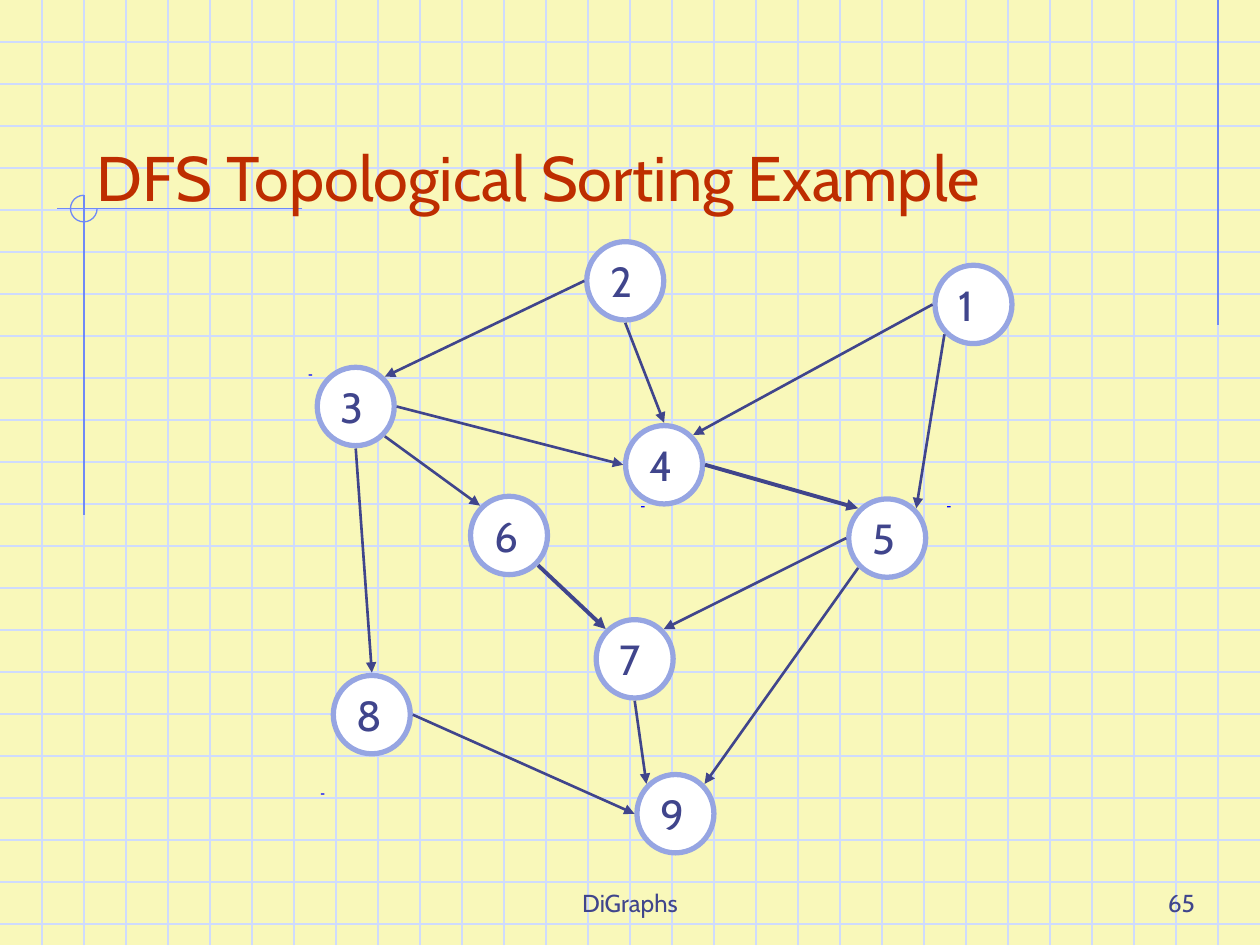
"""Build the slide of a DFS topological sorting example on graph paper."""
from lxml import etree
from pptx import Presentation
from pptx.dml.color import RGBColor
from pptx.enum.shapes import MSO_CONNECTOR, MSO_SHAPE
from pptx.enum.text import MSO_ANCHOR, MSO_AUTO_SIZE, PP_ALIGN
from pptx.oxml.ns import qn
from pptx.util import Pt

STRAIGHT = MSO_CONNECTOR.STRAIGHT
ARC, OVAL, RECTANGLE = MSO_SHAPE.ARC, MSO_SHAPE.OVAL, MSO_SHAPE.RECTANGLE
BOTTOM, MIDDLE = MSO_ANCHOR.BOTTOM, MSO_ANCHOR.MIDDLE
LEFT, CENTER, RIGHT = PP_ALIGN.LEFT, PP_ALIGN.CENTER, PP_ALIGN.RIGHT
NO_AUTOFIT = MSO_AUTO_SIZE.NONE

PAPER = RGBColor(0xF9, 0xF8, 0xBA)
GRID = RGBColor(0xCF, 0xDB, 0xFD)
MARGIN = RGBColor(0x6F, 0x89, 0xF7)
INK = RGBColor(0x40, 0x45, 0x8C)
TITLE_RED = RGBColor(0xBE, 0x2D, 0x00)
RING = RGBColor(0x96, 0xA5, 0xE2)
WHITE = RGBColor(0xFF, 0xFF, 0xFF)
BLUE = RGBColor(0x00, 0x00, 0xFF)
FONT = "Cabin"

WIDTH, HEIGHT, STEP = 720, 540, 24
TITLE = "DFS Topological Sorting Example"
TITLE_AREA = (48, 36, 612, 90)
FOOTERS = [
    ("DiGraphs", (246, 492, 228, 36), CENTER),
    ("65", (540, 492, 150, 36), RIGHT),
]
MARGIN_LINES = [
    ((696, 0), (696, 186)),
    ((172.8, 119.2), (32.4, 119.2)),
    ((48, 111.6), (48, 294.5)),
]
MARGIN_ARC = (40.3, 111.6, 15.2, 15.2)
DASHES = [(176.4, 214), (366.4, 289.2), (541.2, 289.2), (183.4, 453.4)]
DASH_SIZE = (2, 0.7)
NODE_SIZE = (44, 44.8)
NODES = {
    2: (357.3, 160.5), 7: (362.7, 376.5), 4: (379.5, 265.6),
    8: (212.5, 408.4), 5: (507, 307.5), 6: (290.9, 306),
    1: (556.3, 174), 3: (203.3, 232.3), 9: (386, 465),
}
REACH = (23.4, 24)
DIAGONAL = 0.71
SIDES = {
    "N": (0, -1), "S": (0, 1), "W": (-1, 0), "E": (1, 0),
    "NW": (-DIAGONAL, -DIAGONAL), "NE": (DIAGONAL, -DIAGONAL),
    "SW": (-DIAGONAL, DIAGONAL), "SE": (DIAGONAL, DIAGONAL),
}
THIN, THICK = 1.5, 2.25
EDGES = [
    (2, "W", 3, "NE", THIN), (2, "S", 4, "N", THIN),
    (1, "W", 4, "NE", THIN), (5, "W", 7, "NE", THIN),
    (5, "SW", 9, "NE", THIN), (8, "E", 9, "W", THIN),
    (7, "S", 9, "NW", THIN), (6, "SE", 7, "NW", THICK),
    (3, "SE", 6, "NW", THIN), (3, "S", 8, "N", THIN),
    (3, "E", 4, "W", THIN), (4, "E", 5, "NW", THICK),
    (1, "SW", 5, "NE", THIN),
]


def points(values):
    return [Pt(value) for value in values]


def write(shape, text, size, color=INK, align=LEFT, anchor=BOTTOM, wrap=True):
    frame = shape.text_frame
    frame.auto_size = NO_AUTOFIT
    frame.word_wrap = wrap
    frame.vertical_anchor = anchor
    para = frame.paragraphs[0]
    para.alignment = align
    span = para.add_run()
    span.text = text
    span.font.name = FONT
    span.font.size = Pt(size)
    span.font.color.rgb = color


def add_line(shapes, start, end, color, width=0.75, arrow=False):
    line = shapes.add_connector(STRAIGHT, *points(start + end))
    line.line.color.rgb = color
    line.line.width = Pt(width)
    if arrow:
        etree.SubElement(line.line._get_or_add_ln(), qn("a:tailEnd"), type="triangle")
    etree.SubElement(line.element.spPr, qn("a:effectLst"))


def add_shape(shapes, kind, area, fill=None, line=None, width=0.75):
    shape = shapes.add_shape(kind, *points(area))
    shape.shadow.inherit = False
    if fill is None:
        shape.fill.background()
    else:
        shape.fill.solid()
        shape.fill.fore_color.rgb = fill
    if line is None:
        shape.line.fill.background()
    else:
        shape.line.color.rgb = line
        shape.line.width = Pt(width)
    return shape


def add_graph_paper(page):
    shapes = page.shapes.add_group_shape().shapes
    for y in range(STEP, HEIGHT, STEP):
        add_line(shapes, (0, y), (WIDTH, y), GRID)
    for x in range(STEP, WIDTH, STEP):
        add_line(shapes, (x, 0), (x, HEIGHT), GRID)
    for start, end in MARGIN_LINES:
        add_line(shapes, start, end, MARGIN)
    arc = add_shape(shapes, ARC, MARGIN_ARC, line=MARGIN)
    arc.adjustments[0] = 0
    arc.adjustments[1] = 162


def add_texts(page):
    for text, area, align in FOOTERS:
        box = page.shapes.add_textbox(*points(area))
        write(box, text, 14, align=align)
    title = page.shapes.title
    title.left, title.top, title.width, title.height = points(TITLE_AREA)
    write(title, TITLE, 36, color=TITLE_RED)
    page.shapes.element.append(title.element)


def side_point(node, side):
    return tuple(
        center + reach * way
        for center, reach, way in zip(NODES[node], REACH, SIDES[side])
    )


def add_graph(page):
    for corner in DASHES:
        add_shape(page.shapes, RECTANGLE, corner + DASH_SIZE, fill=BLUE)
    width, height = NODE_SIZE
    for label, (x, y) in NODES.items():
        area = (x - width / 2, y - height / 2, width, height)
        node = add_shape(page.shapes, OVAL, area, fill=WHITE, line=RING, width=3)
        write(node, str(label), 24, anchor=MIDDLE, wrap=False)
    for source, leave, target, enter, weight in EDGES:
        start, end = side_point(source, leave), side_point(target, enter)
        add_line(page.shapes, start, end, INK, weight, arrow=True)


def main():
    deck = Presentation()
    deck.slide_width, deck.slide_height = points((WIDTH, HEIGHT))
    page = deck.slides.add_slide(deck.slide_layouts[5])
    page.background.fill.solid()
    page.background.fill.fore_color.rgb = PAPER
    add_graph_paper(page)
    add_texts(page)
    add_graph(page)
    deck.save("out.pptx")


if __name__ == "__main__":
    main()
